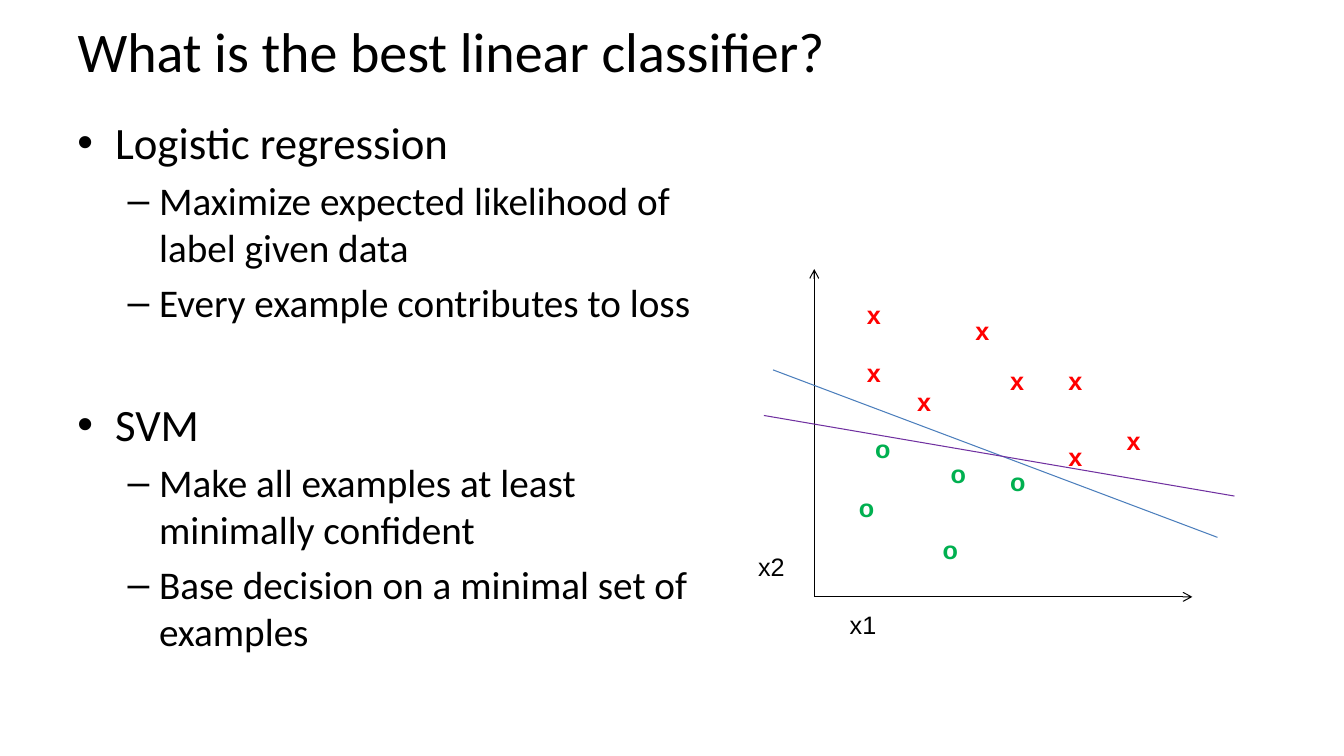
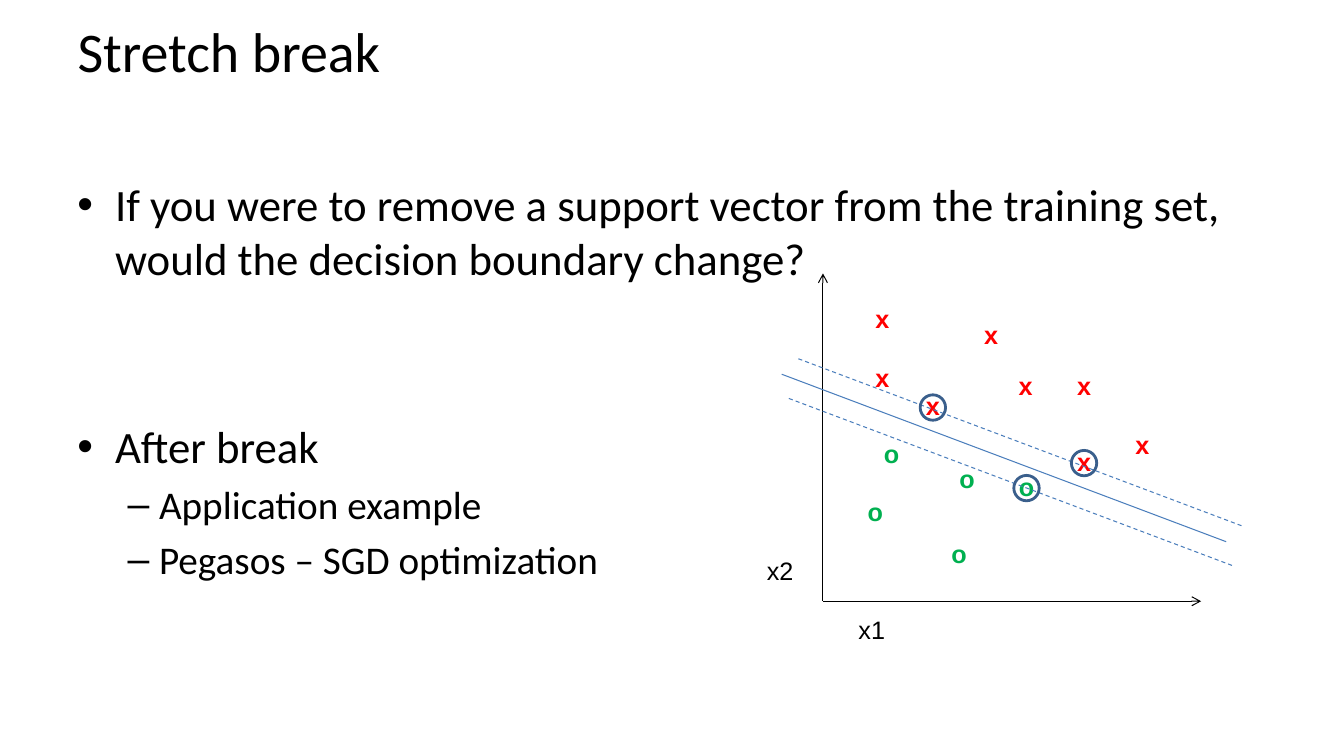
from lxml.etree import SubElement
from pptx import Presentation
from pptx.dml.color import RGBColor
from pptx.enum.dml import MSO_LINE_DASH_STYLE as Dash
from pptx.enum.shapes import MSO_CONNECTOR, MSO_SHAPE
from pptx.enum.text import MSO_ANCHOR as Anchor, PP_ALIGN as Align
from pptx.oxml.ns import qn
from pptx.util import Cm, Pt

COLORS = {"ink": "000000", "red": "FF0000", "green": "00B050",
          "blue": "4B7EBC", "purple": "7030A0", "ring": "3A5F8C"}
LEFT, WIDE = 1.7, 30.48

# Plot places are in cm from the origin: x to the right, y upward.
CROSSES = [(5.11, 5.44), (6.58, 5.44), (6.58, 3.53), (8.05, 3.94),
           (1.5, 7.11), (1.5, 5.64), (4.24, 6.71), (2.77, 4.93)]
RINGS = [(5.13, 2.9), (1.32, 2.26), (1.73, 3.73), (3.43, 1.19), (3.63, 3.1)]
NAMES = [("x2", (-1.08, 0.76)), ("x1", (1.23, -0.71))]
AXES = [(0, 8.26), (9.53, 0)]
SPLIT = ((-1.04, 5.72), (10.16, 1.5))
TILTED = ((-1.27, 4.57), (10.59, 2.54))

# Bullet sign, left margin, hanging indent (cm), size and space before (pt)
LEVELS = [{"sign": "•", "left": 0.95, "hang": 0.95, "size": 32, "before": 6},
          {"sign": "–", "left": 2.06, "hang": 0.79, "size": 28, "before": 5.6}]

# Each body line: level, text and, where it differs, space before
SLIDES = [
    {"title": "What is the best linear classifier?",
     "top": 2.77, "width": 16.92,
     "body": [(0, "Logistic regression"),
              (1, "Maximize expected likelihood of label given data"),
              (1, "Every example contributes to loss"),
              (0, "SVM", 51),
              (1, "Make all examples at least minimally confident"),
              (1, "Base decision on a minimal set of examples")],
     "origin": (20.52, 15.04),
     "lines": [(SPLIT, (0, 0), "blue", False),
               (TILTED, (0, 0), "purple", False)],
     "support": []},
    {"title": "Stretch break",
     "top": 4.34, "width": WIDE,
     "body": [(0, "If you were to remove a support vector from the "
                  "training set, would the decision boundary change?"),
              (0, "After break", 96),
              (1, "Application example"),
              (1, "Pegasos – SGD optimization")],
     "origin": (20.74, 15.15),
     "lines": [(SPLIT, (0, 0), "blue", False),
               (SPLIT, (0.42, 0.39), "blue", True),
               (SPLIT, (0.18, -0.61), "blue", True)],
     "support": [CROSSES[7], CROSSES[2], RINGS[0]]},
]


def color(name):
    return RGBColor.from_string(COLORS[name])


def write(para, text, size=18, font="Arial", ink="ink", bold=False,
          align=Align.LEFT, before=0):
    para.alignment = align
    para.space_before = Pt(before)
    run = para.add_run()
    run.text = text
    run.font.size, run.font.name, run.font.bold = Pt(size), font, bold
    run.font.color.rgb = color(ink)


def bullet(para, sign, left, hang):
    props = para._p.get_or_add_pPr()
    props.set("marL", str(Cm(left)))
    props.set("indent", str(-Cm(hang)))
    SubElement(props, qn("a:buFont")).set("typeface", "Arial")
    SubElement(props, qn("a:buChar")).set("char", sign)


def head(slide, text):
    title = slide.shapes.title
    title.left, title.top = Cm(LEFT), Cm(0)
    title.width, title.height = Cm(WIDE), Cm(2.54)
    title.text_frame.vertical_anchor = Anchor.MIDDLE
    write(title.text_frame.paragraphs[0], text, size=40, font="Calibri")


def body(slide, items, top, width):
    box = slide.shapes.add_textbox(Cm(LEFT), Cm(top), Cm(width), Cm(17.02 - top))
    frame = box.text_frame
    frame.word_wrap = True
    for i, (level, text, *gap) in enumerate(items):
        style = LEVELS[level]
        para = frame.add_paragraph() if i else frame.paragraphs[0]
        para.level = level
        bullet(para, style["sign"], style["left"], style["hang"])
        before = gap[0] if gap else style["before"]
        write(para, text, size=style["size"], font="Calibri",
              before=before if i else 0)


def place(origin, point):
    """Turn a plot point into a place on the slide, in cm."""
    return origin[0] + point[0], origin[1] - point[1]


def mark(shapes, origin, point, text, **fmt):
    x, y = place(origin, point)
    wide, high = 1.6, 1.02
    box = shapes.add_textbox(Cm(x - wide / 2), Cm(y - high / 2), Cm(wide), Cm(high))
    box.text_frame.word_wrap = False
    write(box.text_frame.paragraphs[0], text, align=Align.CENTER, **fmt)


def rule(shapes, origin, start, end, ink="ink", dash=False, arrow=False):
    ends = [Cm(v) for point in (start, end) for v in place(origin, point)]
    line = shapes.add_connector(MSO_CONNECTOR.STRAIGHT, *ends)
    line.line.color.rgb = color(ink)
    line.line.width = Pt(0.75)
    if dash:
        line.line.dash_style = Dash.DASH
    if arrow:
        SubElement(line.line._get_or_add_ln(), qn("a:tailEnd")).set("type", "arrow")
    SubElement(line._element.spPr, qn("a:effectLst"))


def circle(shapes, origin, point, size=0.64, drop=0.05):
    """Ring a mark; the drop centres it on the lowercase letter."""
    x, y = place(origin, point)
    ring = shapes.add_shape(MSO_SHAPE.OVAL, Cm(x - size / 2),
                            Cm(y + drop - size / 2), Cm(size), Cm(size))
    ring.shadow.inherit = False
    ring.fill.background()
    ring.line.color.rgb = color("ring")
    ring.line.width = Pt(2)


def plot(slide, origin, lines, support):
    group = slide.shapes.add_group_shape().shapes
    for points, sign, ink in ((CROSSES, "x", "red"), (RINGS, "o", "green")):
        for point in points:
            mark(group, origin, point, sign, ink=ink, bold=True)
    for tip in AXES:
        rule(group, origin, (0, 0), tip, arrow=True)
    for name, point in NAMES:
        mark(group, origin, point, name)
    for ends, (dx, dy), ink, dash in lines:
        start, end = [(x + dx, y + dy) for x, y in ends]
        rule(slide.shapes, origin, start, end, ink=ink, dash=dash)
    for point in support:
        circle(slide.shapes, origin, point)


def main():
    deck = Presentation()
    deck.slide_width, deck.slide_height = Cm(33.87), Cm(19.05)
    for data in SLIDES:
        slide = deck.slides.add_slide(deck.slide_layouts[5])
        head(slide, data["title"])
        body(slide, data["body"], data["top"], data["width"])
        plot(slide, data["origin"], data["lines"], data["support"])
    deck.save("out.pptx")


if __name__ == "__main__":
    main()
